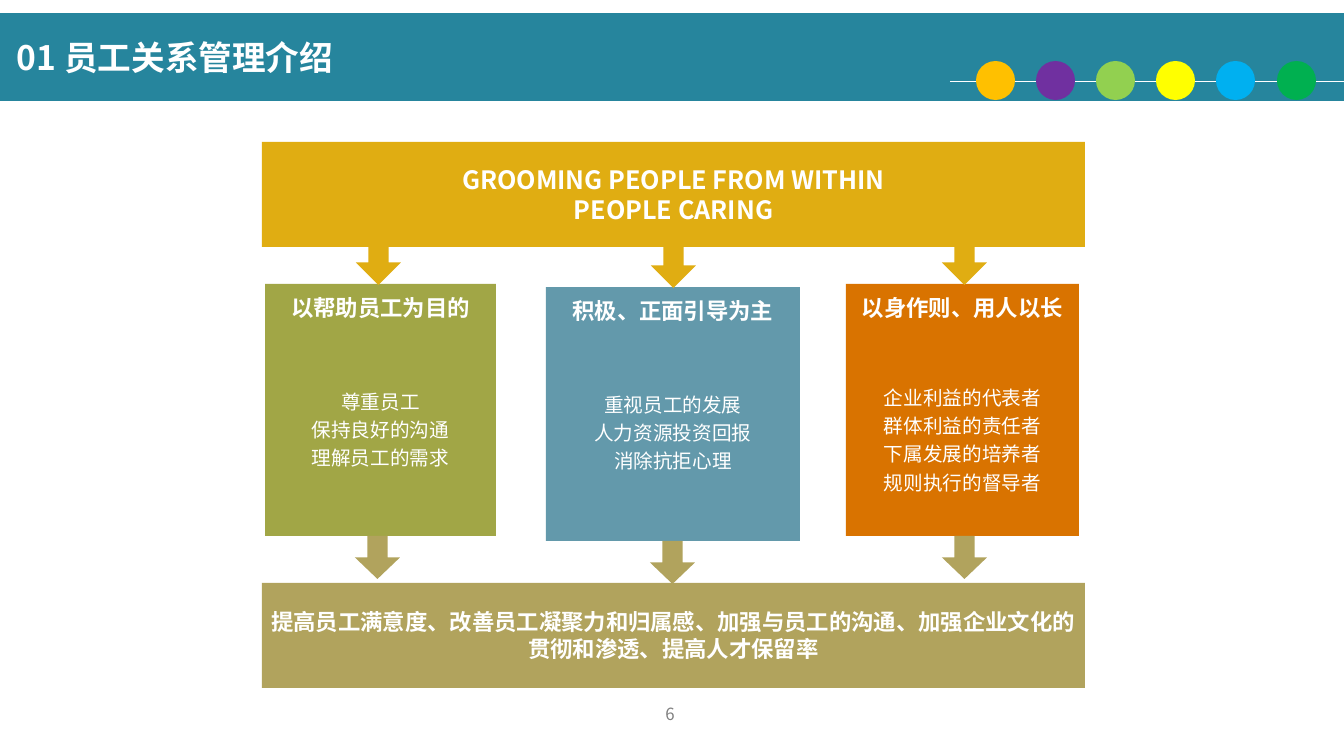
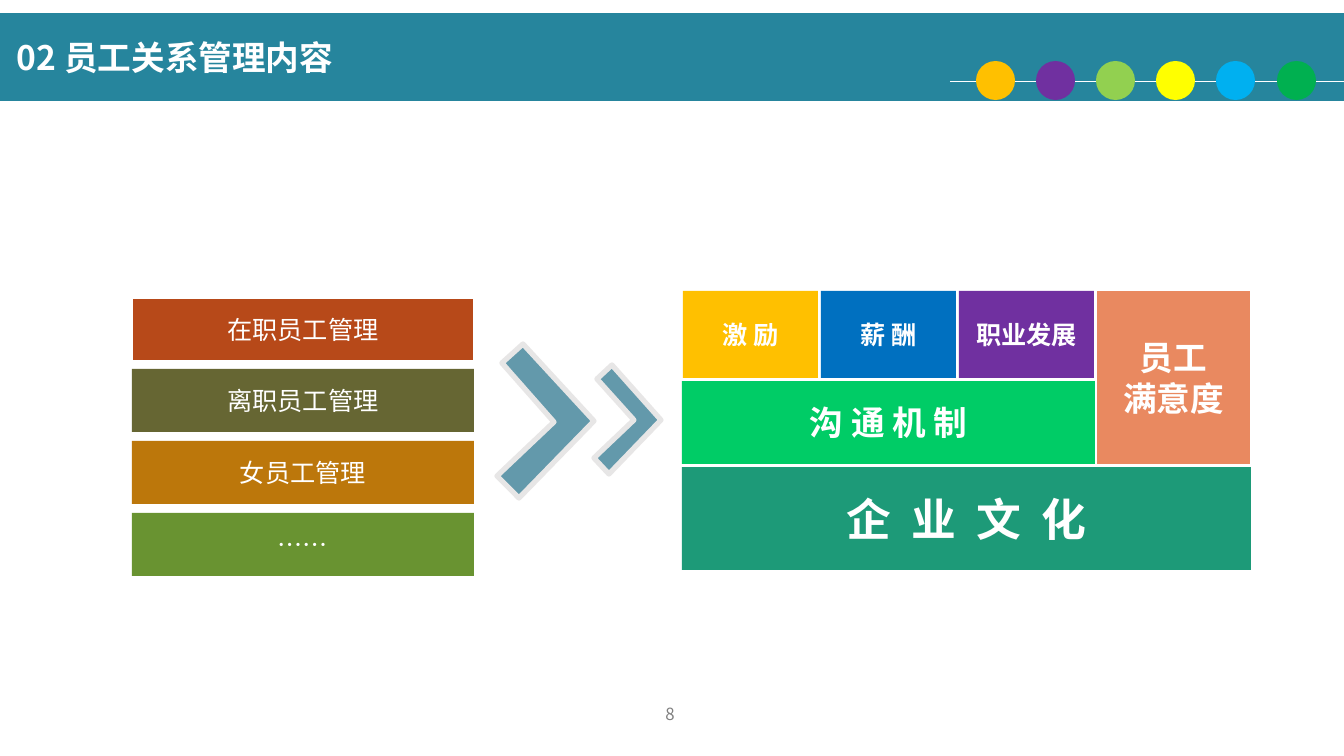
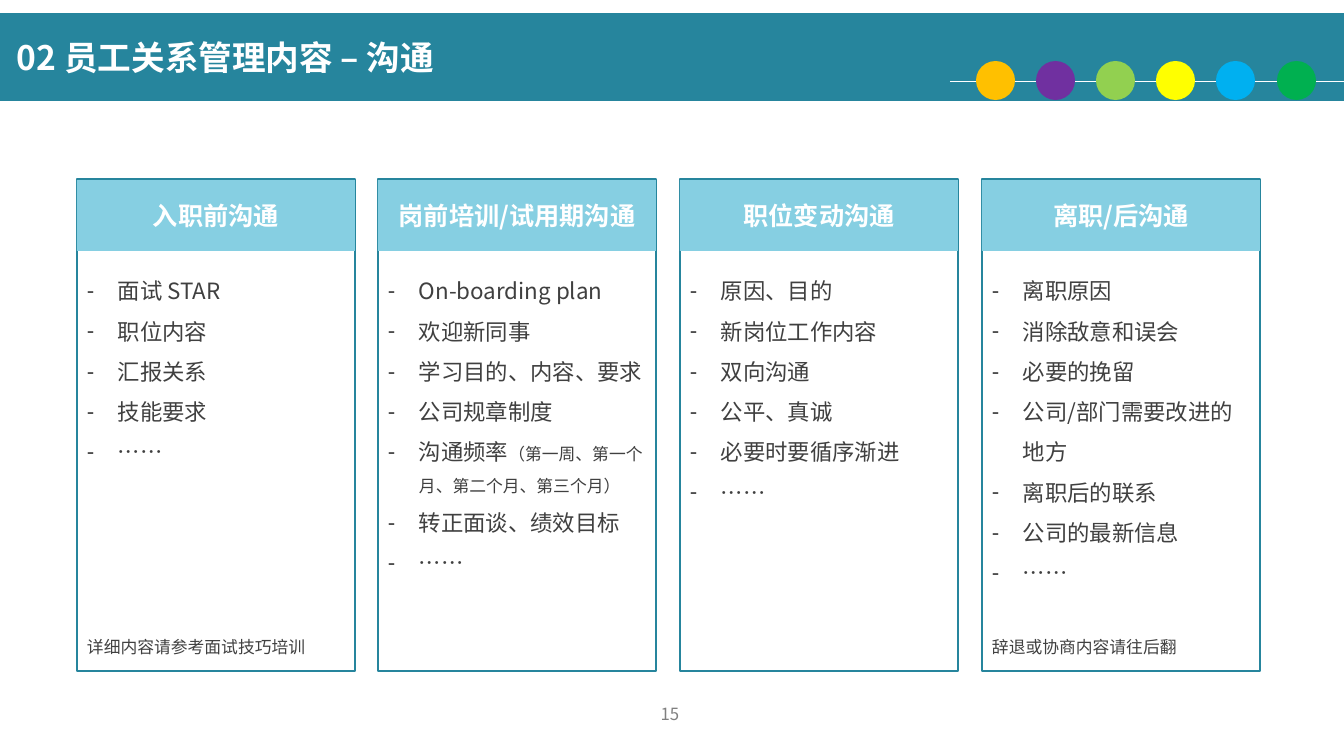
import dataclasses
import typing

import lxml.etree
import pptx
import pptx.dml.color
import pptx.enum.shapes
import pptx.enum.text
import pptx.oxml.ns
import pptx.util

EMU_PER_PX = 914400 / 100.8
SLIDE_W, SLIDE_H = 1344, 756
TITLE_ONLY, FOUR_BODIES = 5, 4

SHAPES = pptx.enum.shapes.MSO_SHAPE
ALIGN = pptx.enum.text.PP_ALIGN
ANCHOR = pptx.enum.text.MSO_ANCHOR


@dataclasses.dataclass(frozen=True)
class Theme:
    font: str = "Noto Sans CJK SC"
    white: str = "FFFFFF"
    ink: str = "404040"
    page_number: str = "808080"
    band: str = "26859D"
    column_head: str = "86CFE2"
    gold: str = "E0AD12"
    khaki: str = "B1A35D"
    steel: str = "6399AB"
    olive: str = "A1A646"
    orange: str = "D97300"
    amber: str = "FFC000"
    purple: str = "7030A0"
    chevron_edge: str = "E7E6E6"
    dots: tuple[str, ...] = ("FFC000", "7030A0", "92D050", "FFFF00", "00B0F0", "00B050")
    culture_size: int = 32
    title_size: int = 24
    head_size: int = 18
    body_size: int = 16
    detail_size: int = 14
    small_size: int = 12


THEME = Theme()


class Box(typing.NamedTuple):
    x: int
    y: int
    w: int
    h: int


class Margins(typing.NamedTuple):
    left: int = 10
    top: int = 5
    right: int = 10
    bottom: int = 5


@dataclasses.dataclass(frozen=True)
class Line:
    """One paragraph; aside is a smaller run after the text, before is in px."""
    text: str
    size: int
    color: str = THEME.white
    bold: bool = False
    align: ALIGN = ALIGN.CENTER
    spacing: float = 1.0
    before: int = 0
    dash: bool = False
    aside: str = ""
    tracking: int = 0


@dataclasses.dataclass(frozen=True)
class Card:
    box: Box
    fill: str
    heading: str
    details: tuple[str, ...]
    gap: int
    arrow_in: int
    arrow_out: int


@dataclasses.dataclass(frozen=True)
class Tile:
    box: Box
    fill: str
    lines: tuple[str, ...]
    size: int = THEME.head_size
    bold: bool = True
    tracking: int = 0
    edge: str = ""


@dataclasses.dataclass(frozen=True)
class Column:
    heading: str
    topics: tuple[str, ...]
    asides: dict[str, str] = dataclasses.field(default_factory=dict)
    note: str = ""
    note_gap: int = 0


def emu(px: float) -> int:
    return round(px * EMU_PER_PX)


def rgb(color: str) -> pptx.dml.color.RGBColor:
    return pptx.dml.color.RGBColor.from_string(color)


def place(shape, box: Box) -> None:
    shape.left, shape.top, shape.width, shape.height = map(emu, box)


def paint(shape, fill: str = "", edge: str = "", edge_width: float = 1.5) -> None:
    """Fill and outline a shape; an empty colour means none."""
    if fill:
        shape.fill.solid()
        shape.fill.fore_color.rgb = rgb(fill)
    else:
        shape.fill.background()
    if edge:
        shape.line.color.rgb = rgb(edge)
        shape.line.width = pptx.util.Pt(edge_width)
    else:
        shape.line.fill.background()


def set_bullet(paragraph, dash: bool) -> None:
    props = paragraph._p.get_or_add_pPr()
    indent = emu(31) if dash else 0
    props.set("marL", str(indent))
    props.set("indent", str(-indent))
    bullet = lxml.etree.Element(pptx.oxml.ns.qn("a:buChar" if dash else "a:buNone"))
    if dash:
        bullet.set("char", "-")
    props.find(pptx.oxml.ns.qn("a:defRPr")).addprevious(bullet)


def set_font(paragraph, line: Line) -> None:
    font = paragraph.font
    font.name = THEME.font
    font.size = pptx.util.Pt(line.size)
    font.bold = line.bold
    font.color.rgb = rgb(line.color)
    defaults = paragraph._p.pPr.find(pptx.oxml.ns.qn("a:defRPr"))
    east_asian = lxml.etree.Element(pptx.oxml.ns.qn("a:ea"), typeface=THEME.font)
    defaults.find(pptx.oxml.ns.qn("a:latin")).addnext(east_asian)
    if line.tracking:
        defaults.set("spc", str(line.tracking))


def write(shape, lines: typing.Sequence[Line], margins: Margins = Margins(),
          anchor: ANCHOR = ANCHOR.MIDDLE) -> None:
    frame = shape.text_frame
    frame.word_wrap = True
    frame.auto_size = pptx.enum.text.MSO_AUTO_SIZE.NONE
    frame.vertical_anchor = anchor
    frame.margin_left, frame.margin_top, frame.margin_right, frame.margin_bottom = map(emu, margins)
    for index, line in enumerate(lines):
        paragraph = frame.add_paragraph() if index else frame.paragraphs[0]
        paragraph.alignment = line.align
        paragraph.line_spacing = line.spacing
        paragraph.space_before = emu(line.before)
        paragraph.space_after = 0
        paragraph.add_run().text = line.text
        set_font(paragraph, line)
        set_bullet(paragraph, line.dash)
        if line.aside:
            aside = paragraph.add_run()
            aside.text = line.aside
            aside.font.size = pptx.util.Pt(THEME.small_size)


def add_block(slide, kind: SHAPES, box: Box, fill: str, edge: str = ""):
    block = slide.shapes.add_shape(kind, *map(emu, box))
    block.shadow.inherit = False
    paint(block, fill, edge)
    return block


def add_arrow(slide, box: Box, fill: str) -> None:
    arrow = add_block(slide, SHAPES.DOWN_ARROW, box, fill)
    arrow.adjustments[0], arrow.adjustments[1] = 0.45, 0.5


def add_tile(slide, tile: Tile, margins: Margins = Margins()) -> None:
    block = add_block(slide, SHAPES.RECTANGLE, tile.box, tile.fill, tile.edge)
    write(block, [Line(text, tile.size, bold=tile.bold, tracking=tile.tracking)
                  for text in tile.lines], margins)


def add_chevron(slide, points: typing.Sequence[tuple[int, int]]) -> None:
    builder = slide.shapes.build_freeform(*points[0], scale=EMU_PER_PX)
    builder.add_line_segments(points[1:], close=True)
    chevron = builder.convert_to_shape()
    chevron.shadow.inherit = False
    paint(chevron, THEME.steel, THEME.chevron_edge, 3.75)


def add_framed_slide(deck, layout: int, title: str, number: int):
    """Add a slide with the title band, the row of dots and the page number."""
    slide = deck.slides.add_slide(deck.slide_layouts[layout])
    band = slide.shapes.title
    place(band, Box(0, 13, SLIDE_W, 88))
    paint(band, THEME.band)
    write(band, [Line(title, THEME.title_size, bold=True, align=ALIGN.LEFT)], Margins(left=17))

    thread = slide.shapes.add_connector(
        pptx.enum.shapes.MSO_CONNECTOR.STRAIGHT, emu(950), emu(81), emu(SLIDE_W), emu(81))
    thread.line.color.rgb = rgb(THEME.white)
    thread.line.width = pptx.util.Pt(0.5)
    lxml.etree.SubElement(thread._element.spPr, pptx.oxml.ns.qn("a:effectLst"))
    for index, color in enumerate(THEME.dots):
        add_block(slide, SHAPES.OVAL, Box(976 + index * 301 // 5, 61, 39, 39), color)

    footer = slide.shapes.add_textbox(*map(emu, Box(513, 699, 314, 52)))
    write(footer, [Line(str(number), THEME.small_size, THEME.page_number)], anchor=ANCHOR.TOP)
    return slide


def fill_bodies(slide, count: int) -> list:
    """Return the first body placeholders and remove the others."""
    bodies = list(slide.placeholders)[1:]
    for spare in bodies[count:]:
        spare._element.getparent().remove(spare._element)
    return bodies[:count]


def build_introduction(deck) -> None:
    cards = (
        Card(Box(265, 284, 231, 252), THEME.olive, "以帮助员工为目的",
             ("尊重员工", "保持良好的沟通", "理解员工的需求"), 64, 356, 355),
        Card(Box(546, 287, 254, 254), THEME.steel, "积极、正面引导为主",
             ("重视员工的发展", "人力资源投资回报", "消除抗拒心理"), 64, 651, 650),
        Card(Box(846, 284, 233, 252), THEME.orange, "以身作则、用人以长",
             ("企业利益的代表者", "群体利益的责任者", "下属发展的培养者", "规则执行的督导者"),
             60, 942, 942),
    )
    tight = Margins(5, 5, 5, 5)
    slide = add_framed_slide(deck, FOUR_BODIES, "01 员工关系管理介绍", 6)
    for card, body in zip(cards, fill_bodies(slide, len(cards))):
        place(body, card.box)
        paint(body, card.fill)
        heading = Line(card.heading, THEME.body_size, bold=True, spacing=1.2)
        details = [Line(text, THEME.detail_size, spacing=1.2, before=0 if index else card.gap)
                   for index, text in enumerate(card.details)]
        write(body, [heading, *details], tight, ANCHOR.TOP)
        add_arrow(slide, Box(card.arrow_in, card.box.y - 57, 45, 58), THEME.gold)
        add_arrow(slide, Box(card.arrow_out, card.box.y + card.box.h, 45, 43), THEME.khaki)
    add_tile(slide, Tile(Box(262, 142, 823, 105), THEME.gold,
                         ("GROOMING PEOPLE FROM WITHIN", "PEOPLE CARING")), tight)
    add_tile(slide, Tile(Box(262, 583, 823, 105), THEME.khaki,
                         ("提高员工满意度、改善员工凝聚力和归属感、加强与员工的沟通、"
                          "加强企业文化的贯彻和渗透、提高人才保留率",), THEME.body_size), tight)


def build_contents(deck) -> None:
    slide = add_framed_slide(deck, TITLE_ONLY, "02 员工关系管理内容", 8)
    groups = (("在职员工管理", "B74919", THEME.white), ("离职员工管理", "666633", ""),
              ("女员工管理", "BC770B", ""), ("……", "699331", ""))
    for index, (group, fill, edge) in enumerate(groups):
        add_tile(slide, Tile(Box(132, 298 + index * 215 // 3, 342, 63), fill, (group,),
                             bold=False, edge=edge))

    add_chevron(slide, ((554, 422), (497, 476), (519, 498), (594, 421), (523, 344), (502, 363)))
    add_chevron(slide, ((634, 420), (594, 458), (609, 474), (661, 420), (612, 365), (597, 379)))

    drivers = (("激 励", THEME.amber), ("薪 酬", "0070C0"), ("职业发展", THEME.purple))
    for index, (driver, fill) in enumerate(drivers):
        add_tile(slide, Tile(Box(683 + 138 * index, 291, 135, 87), fill, (driver,)))
    for tile in (
        Tile(Box(1097, 291, 153, 173), "E98960", ("员工", "满意度"), THEME.title_size),
        Tile(Box(682, 381, 413, 83), "00CC66", ("沟 通 机 制",), THEME.title_size),
        Tile(Box(682, 467, 569, 103), "1D9A78", ("企 业 文 化",), THEME.culture_size,
             tracking=360),
    ):
        add_tile(slide, tile)


def build_communication(deck) -> None:
    columns = (
        Column("入职前沟通", ("面试 STAR", "职位内容", "汇报关系", "技能要求", "……"),
               note="详细内容请参考面试技巧培训", note_gap=161),
        Column("岗前培训/试用期沟通",
               ("On-boarding plan", "欢迎新同事", "学习目的、内容、要求", "公司规章制度",
                "沟通频率", "转正面谈、绩效目标", "……"),
               {"沟通频率": "（第一周、第一个月、第二个月、第三个月）"}),
        Column("职位变动沟通", ("原因、目的", "新岗位工作内容", "双向沟通", "公平、真诚",
                          "必要时要循序渐进", "……")),
        Column("离职/后沟通", ("离职原因", "消除敌意和误会", "必要的挽留", "公司/部门需要改进的地方",
                          "离职后的联系", "公司的最新信息", "……"),
               note="辞退或协商内容请往后翻", note_gap=40),
    )
    slide = add_framed_slide(deck, FOUR_BODIES, "02 员工关系管理内容 – 沟通", 15)
    for index, (column, body) in enumerate(zip(columns, fill_bodies(slide, len(columns)))):
        x = 77 + index * 905 // 3
        place(body, Box(x, 179, 278, 492))
        paint(body, edge=THEME.band)
        lines = [Line(topic, THEME.body_size, THEME.ink, align=ALIGN.LEFT, spacing=1.5,
                      dash=True, aside=column.asides.get(topic, "")) for topic in column.topics]
        if column.note:
            lines.append(Line(column.note, THEME.small_size, THEME.ink, align=ALIGN.LEFT,
                              spacing=1.5, before=column.note_gap))
        write(body, lines, Margins(top=85), ANCHOR.TOP)
        add_tile(slide, Tile(Box(x, 180, 278, 71), THEME.column_head, (column.heading,)))


def main() -> None:
    deck = pptx.Presentation()
    deck.slide_width, deck.slide_height = emu(SLIDE_W), emu(SLIDE_H)
    build_introduction(deck)
    build_contents(deck)
    build_communication(deck)
    deck.save("out.pptx")


if __name__ == "__main__":
    main()
